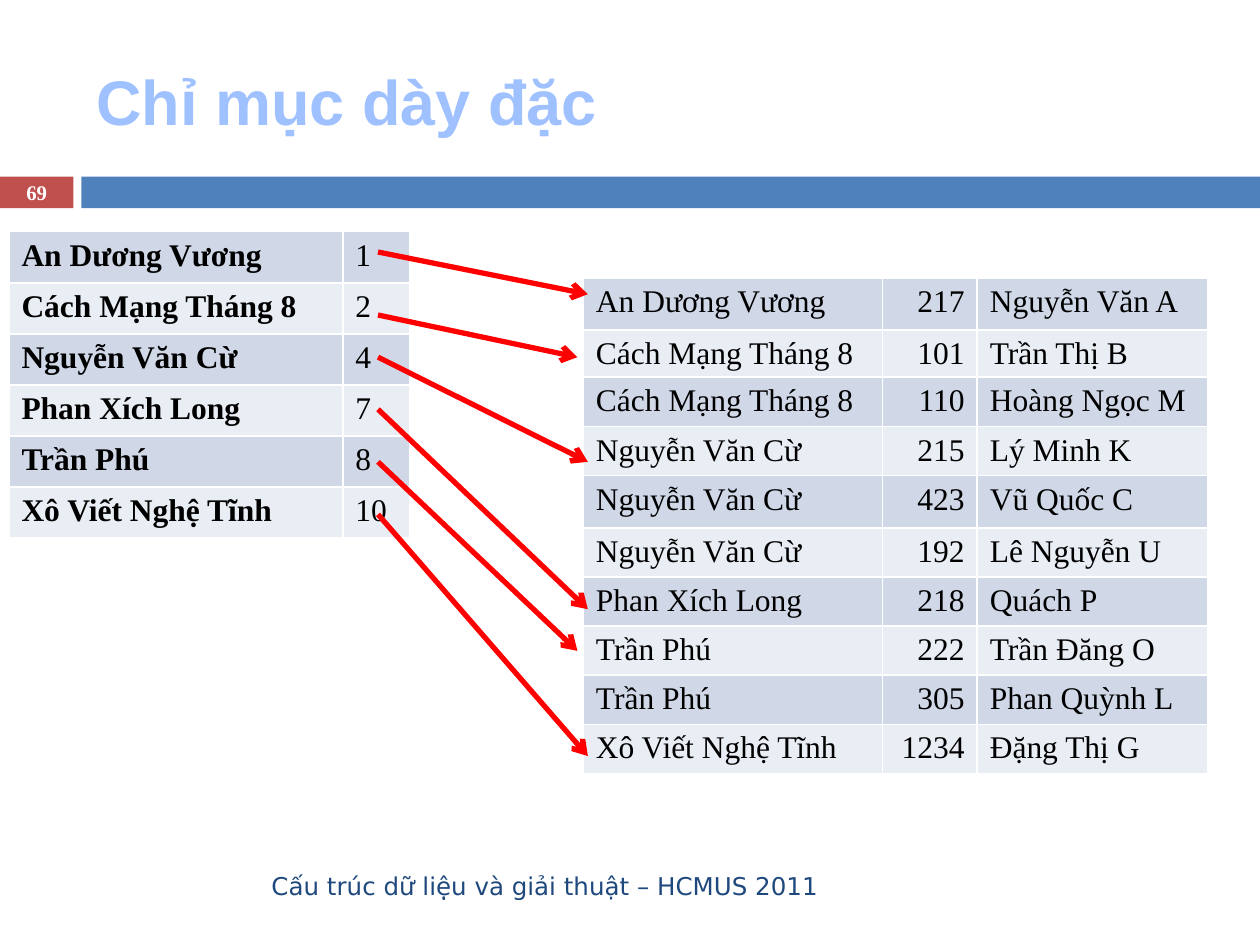
from dataclasses import dataclass
from typing import NamedTuple

from lxml.etree import SubElement
from pptx import Presentation
from pptx.dml.color import RGBColor as RGB
from pptx.enum.shapes import MSO_CONNECTOR as CONN, MSO_SHAPE as SHAPE
from pptx.enum.text import MSO_ANCHOR as ANCHOR, PP_ALIGN as ALIGN
from pptx.oxml import parse_xml
from pptx.oxml.ns import nsdecls, qn
from pptx.util import Cm, Pt


@dataclass(frozen=True)
class Theme:
    title: str = "A0C1FF"
    bar: str = "4F81BD"
    number_bar: str = "C0504D"
    footer: str = "1F497D"
    text: str = "000000"
    white: str = "FFFFFF"
    arrow: str = "FF0000"
    bands: tuple[str, str] = ("D0D8E8", "E9EDF4")
    serif: str = "Times New Roman"
    title_size: float = 36
    table_size: float = 18
    footer_size: float = 14
    number_size: float = 11.9


class Box(NamedTuple):
    left: float
    top: float
    width: float
    height: float

    def lengths(self) -> list[Cm]:
        return [Cm(v) for v in self]


class Column(NamedTuple):
    width: float
    align: ALIGN = ALIGN.LEFT
    bold: bool = False


class Table(NamedTuple):
    left: float
    top: float
    columns: list[Column]
    row_heights: list[float]
    rows: list[tuple[str, ...]]


class Arrow(NamedTuple):
    start_y: float
    end_x: float
    end_y: float


THEME = Theme()
ARROW_START_X = 7.62

INDEX = Table(
    0.18, 4.67, [Column(6.73, bold=True), Column(1.35)], [1.03] * 6,
    [
        ("An Dương Vương", "1"),
        ("Cách Mạng Tháng 8", "2"),
        ("Nguyễn Văn Cừ", "4"),
        ("Phan Xích Long", "7"),
        ("Trần Phú", "8"),
        ("Xô Viết Nghệ Tĩnh", "10"),
    ],
)
RECORDS = Table(
    11.76, 5.6, [Column(6.03), Column(1.91, ALIGN.RIGHT), Column(4.65)],
    [1.05, 0.95, 1, 0.99, 1.05] + [0.99] * 5,
    [
        ("An Dương Vương", "217", "Nguyễn Văn A"),
        ("Cách Mạng Tháng 8", "101", "Trần Thị B"),
        ("Cách Mạng Tháng 8", "110", "Hoàng Ngọc M"),
        ("Nguyễn Văn Cừ", "215", "Lý Minh K"),
        ("Nguyễn Văn Cừ", "423", "Vũ Quốc C"),
        ("Nguyễn Văn Cừ", "192", "Lê Nguyễn U"),
        ("Phan Xích Long", "218", "Quách P"),
        ("Trần Phú", "222", "Trần Đăng O"),
        ("Trần Phú", "305", "Phan Quỳnh L"),
        ("Xô Viết Nghệ Tĩnh", "1234", "Đặng Thị G"),
    ],
)
ARROWS = [
    Arrow(5.08, 11.85, 5.93),
    Arrow(6.35, 11.64, 7.2),
    Arrow(7.2, 11.85, 9.31),
    Arrow(8.25, 11.85, 12.28),
    Arrow(9.31, 11.64, 13.12),
    Arrow(10.37, 11.85, 15.24),
]


def write(tf, text: str, color: str, align: ALIGN, **formats) -> None:
    p = tf.paragraphs[0]
    p.alignment = align
    r = p.add_run()
    r.text = text
    r.font.color.rgb = RGB.from_string(color)
    for name, value in formats.items():
        setattr(r.font, name, value)


def add_bar(s, box: Box, color: str) -> None:
    sp = s.shapes.add_shape(SHAPE.RECTANGLE, *box.lengths())
    sp.shadow.inherit = False
    sp.fill.solid()
    sp.fill.fore_color.rgb = RGB.from_string(color)
    sp.line.fill.background()


def add_label(s, box: Box, text: str, color: str, align: ALIGN, **formats) -> None:
    tf = s.shapes.add_textbox(*box.lengths()).text_frame
    tf.word_wrap = True
    tf.vertical_anchor = ANCHOR.MIDDLE
    write(tf, text, color, align, **formats)


def set_borders(cell, color: str) -> None:
    """Put a 1 pt line on each side; the lines must precede the cell fill."""
    tc_pr = cell._tc.get_or_add_tcPr()
    for i, side in enumerate("LRTB"):
        tc_pr.insert(i, parse_xml(
            f'<a:ln{side} {nsdecls("a")} w="{Pt(1)}"><a:solidFill>'
            f'<a:srgbClr val="{color}"/></a:solidFill></a:ln{side}>'))


def add_table(s, table: Table) -> None:
    box = Box(table.left, table.top, sum(c.width for c in table.columns),
              sum(table.row_heights))
    tbl = s.shapes.add_table(len(table.rows), len(table.columns),
                             *box.lengths()).table
    tbl.first_row = False
    for col, column in zip(tbl.columns, table.columns):
        col.width = Cm(column.width)
    for i, (height, row) in enumerate(zip(table.row_heights, table.rows)):
        tbl.rows[i].height = Cm(height)
        for j, (column, text) in enumerate(zip(table.columns, row)):
            cell = tbl.cell(i, j)
            cell.margin_bottom = Cm(0.05)
            cell.fill.solid()
            cell.fill.fore_color.rgb = RGB.from_string(THEME.bands[i % 2])
            set_borders(cell, THEME.white)
            write(cell.text_frame, text, THEME.text, column.align,
                  name=THEME.serif, size=Pt(THEME.table_size), bold=column.bold)


def add_arrow(s, arrow: Arrow) -> None:
    ends = (ARROW_START_X, arrow.start_y, arrow.end_x, arrow.end_y)
    cx = s.shapes.add_connector(CONN.STRAIGHT, *[Cm(v) for v in ends])
    cx.line.color.rgb = RGB.from_string(THEME.arrow)
    cx.line.width = Pt(3)
    SubElement(cx.line._get_or_add_ln(), qn("a:tailEnd"), type="arrow")
    SubElement(cx._element.spPr, qn("a:effectLst"))


def set_title(s, box: Box, text: str) -> None:
    title = s.shapes.title
    title.left, title.top, title.width, title.height = box.lengths()
    title.text_frame.vertical_anchor = ANCHOR.MIDDLE
    write(title.text_frame, text, THEME.title, ALIGN.LEFT,
          name="Arial", size=Pt(THEME.title_size), bold=True)


def main() -> None:
    prs = Presentation()
    prs.slide_width, prs.slide_height = Cm(25.4), Cm(19.05)
    s = prs.slides.add_slide(prs.slide_layouts[5])

    add_bar(s, Box(0, 3.56, 1.48, 0.64), THEME.number_bar)
    add_bar(s, Box(1.64, 3.56, 23.76, 0.64), THEME.bar)
    set_title(s, Box(1.69, 0.64, 22.66, 2.75), "Chỉ mục dày đặc")
    add_label(s, Box(1.69, 17.36, 15.06, 1.01),
              "Cấu trúc dữ liệu và giải thuật – HCMUS 2011", THEME.footer,
              ALIGN.RIGHT, name="DejaVu Sans", size=Pt(THEME.footer_size))
    add_label(s, Box(0, 3.54, 1.48, 0.68), "69", THEME.white, ALIGN.CENTER,
              name=THEME.serif, size=Pt(THEME.number_size), bold=True)
    for table in (INDEX, RECORDS):
        add_table(s, table)
    for arrow in ARROWS:
        add_arrow(s, arrow)

    prs.save("out.pptx")


if __name__ == "__main__":
    main()
